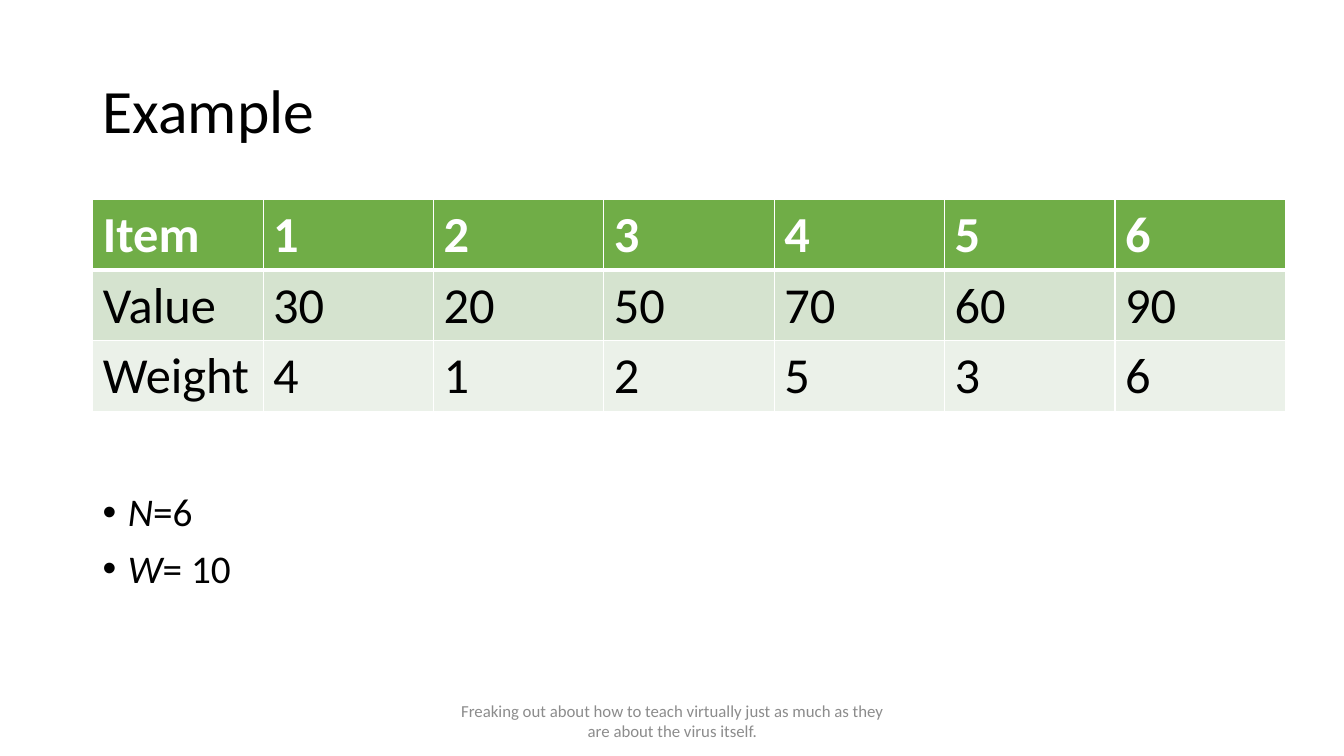
from dataclasses import dataclass

from lxml.etree import SubElement
from pptx import Presentation
from pptx.dml.color import RGBColor as RGB
from pptx.enum.text import MSO_ANCHOR as Anchor, PP_ALIGN as Align
from pptx.oxml.ns import qn
from pptx.util import Inches, Pt

TITLE = "Example"
ITEMS = [
    ("Item", "1", "2", "3", "4", "5", "6"),
    ("Value", "30", "20", "50", "70", "60", "90"),
    ("Weight", "4", "1", "2", "5", "3", "6"),
]
LIMITS = [("N", "=6"), ("W", "= 10")]
FOOTER = (
    "Freaking out about how to teach virtually just as much as they "
    "are about the virus itself."
)


@dataclass(frozen=True)
class Theme:
    font: str = "Calibri"
    ink: str = "000000"
    muted: str = "8C8C8C"
    header_ink: str = "FFFFFF"
    border: str = "FFFFFF"
    row_fills: tuple = ("70AD47", "D5E3CF", "EBF1E9")
    title_size: int = 44
    table_size: int = 36
    body_size: int = 28
    footer_size: int = 12


THEME = Theme()
LEFT = 0.92
COLUMN_WIDTH = 1.69
ROW_HEIGHT = 0.7


def add_run(paragraph, text, size, color=THEME.ink, bold=False, italic=False):
    run = paragraph.add_run()
    run.text = text
    font = run.font
    font.name, font.size = THEME.font, Pt(size)
    font.bold, font.italic = bold, italic
    font.color.rgb = RGB.from_string(color)


def add_text_frame(slide, left, top, width, height, anchor=Anchor.MIDDLE):
    box = slide.shapes.add_textbox(*map(Inches, (left, top, width, height)))
    frame = box.text_frame
    frame.word_wrap = True
    frame.vertical_anchor = anchor
    return frame


def set_bullet(paragraph):
    properties = paragraph._p.get_or_add_pPr()
    properties.set("marL", str(Inches(0.25)))
    properties.set("indent", str(-Inches(0.25)))
    SubElement(properties, qn("a:buFont"), typeface="Arial")
    SubElement(properties, qn("a:buChar"), char="•")


def set_borders(cell, widths):
    properties = cell._tc.get_or_add_tcPr()
    for position, (side, width) in enumerate(widths.items()):
        line = SubElement(properties, qn(f"a:{side}"), w=str(Pt(width)))
        fill = SubElement(line, qn("a:solidFill"))
        SubElement(fill, qn("a:srgbClr"), val=THEME.border)
        properties.insert(position, line)


def add_items_table(slide):
    rows, columns = len(ITEMS), len(ITEMS[0])
    table = slide.shapes.add_table(
        rows, columns, Inches(LEFT), Inches(1.98),
        Inches(columns * COLUMN_WIDTH), Inches(rows * ROW_HEIGHT),
    ).table
    for column in table.columns:
        column.width = Inches(COLUMN_WIDTH)
    for r, (values, fill) in enumerate(zip(ITEMS, THEME.row_fills)):
        header = r == 0
        borders = {"lnL": 1, "lnR": 1, "lnT": 3 if r == 1 else 1, "lnB": 3 if header else 1}
        for c, value in enumerate(values):
            cell = table.cell(r, c)
            cell.fill.solid()
            cell.fill.fore_color.rgb = RGB.from_string(fill)
            set_borders(cell, borders)
            color = THEME.header_ink if header else THEME.ink
            add_run(cell.text_frame.paragraphs[0], value, THEME.table_size, color, bold=header)


def main():
    deck = Presentation()
    deck.slide_width, deck.slide_height = Inches(13.33), Inches(7.5)
    slide = deck.slides.add_slide(deck.slide_layouts[6])

    title = add_text_frame(slide, LEFT, 0.4, 11.5, 1.45).paragraphs[0]
    title.line_spacing = 0.9
    add_run(title, TITLE, THEME.title_size)

    limits = add_text_frame(slide, LEFT, 4.84, 11.5, 1.92, Anchor.TOP)
    for i, (symbol, value) in enumerate(LIMITS):
        limit = limits.add_paragraph() if i else limits.paragraphs[0]
        limit.line_spacing = 0.9
        limit.space_before = Pt(10)
        set_bullet(limit)
        add_run(limit, symbol, THEME.body_size, italic=True)
        add_run(limit, value, THEME.body_size)

    footer = add_text_frame(slide, 4.42, 6.95, 4.5, 0.4).paragraphs[0]
    footer.alignment = Align.CENTER
    add_run(footer, FOOTER, THEME.footer_size, THEME.muted)

    add_items_table(slide)
    deck.save("out.pptx")


if __name__ == "__main__":
    main()
